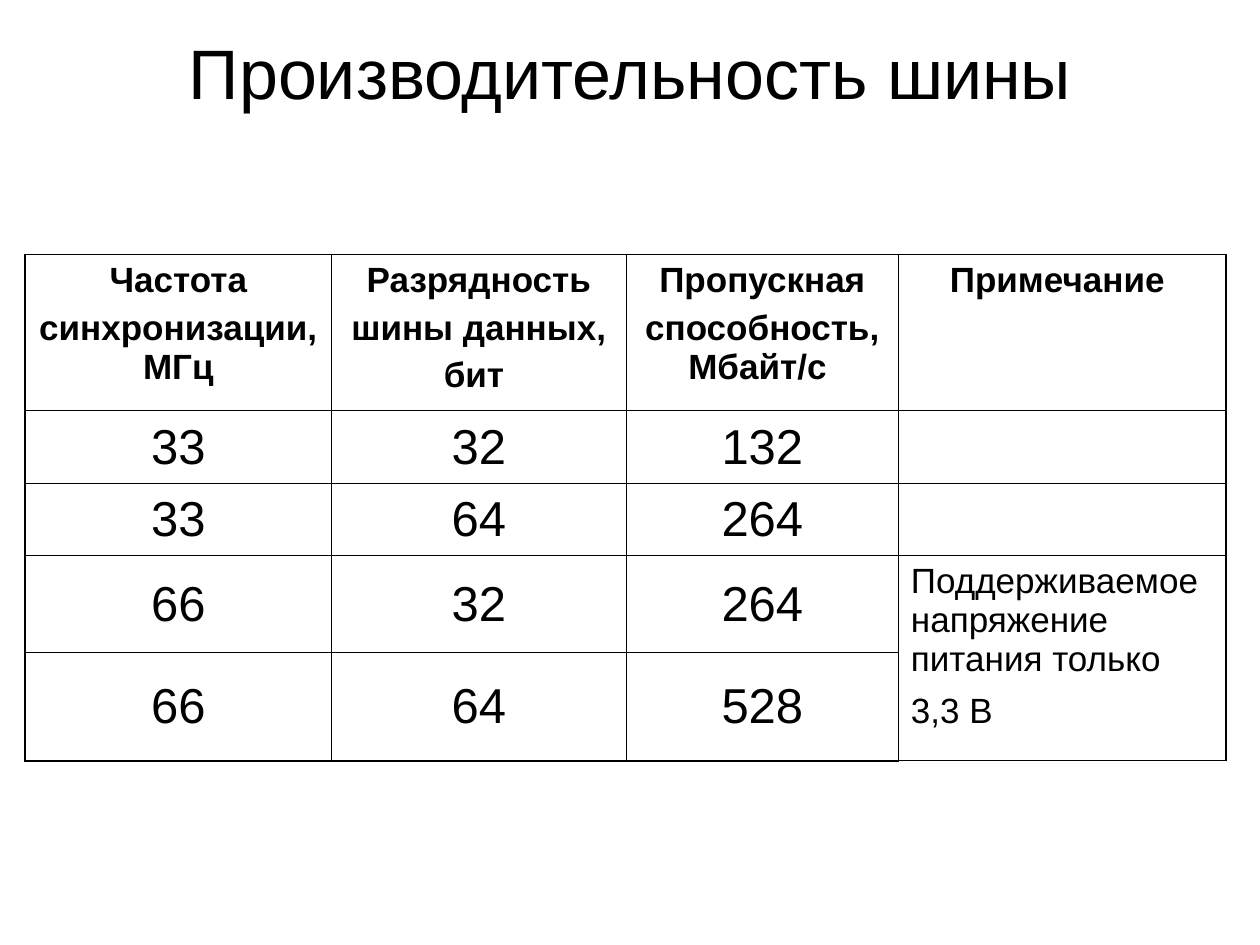
from lxml import etree
from pptx import Presentation
from pptx.dml.color import RGBColor
from pptx.enum.text import MSO_ANCHOR, MSO_AUTO_SIZE, PP_ALIGN
from pptx.oxml.ns import qn
from pptx.util import Pt

LEFT, CENTER = PP_ALIGN.LEFT, PP_ALIGN.CENTER
TOP, MIDDLE = MSO_ANCHOR.TOP, MSO_ANCHOR.MIDDLE
NO_FIT = MSO_AUTO_SIZE.NONE
BLACK = RGBColor(0, 0, 0)
FONT = "Arial"
THIN, THICK = Pt(0.45), Pt(1.08)

WIDTHS = [175, 168.5, 155.5, 187.2]
HEIGHTS = [89.3, 41.8, 41, 55.4, 61.9]
HEADS = [
    "Частота\nсинхронизации, МГц",
    "Разрядность\nшины данных,\nбит ",
    "Пропускная\nспособность, Мбайт/с ",
    "Примечание ",
]
RATES = [(33, 32, 132), (33, 64, 264), (66, 32, 264), (66, 64, 528)]
NOTE = "Поддерживаемое напряжение питания только 3,3 В"


def style(run, size, bold=False):
    """Set the font of one run."""
    font = run.font
    font.name, font.size, font.bold = FONT, Pt(size), bold
    font.color.rgb = BLACK


def write(frame, text, size, bold=False, align=CENTER, gap=0):
    """Fill a text frame and format its paragraphs."""
    frame.text = text
    for para in frame.paragraphs:
        para.alignment = align
        para.space_before = Pt(gap)
        for run in para.runs:
            style(run, size, bold)


def add_title(slide):
    """Place the slide title."""
    title = slide.shapes.title
    title.left, title.top = Pt(36), Pt(21.6)
    title.width, title.height = Pt(648), Pt(38.9)
    frame = title.text_frame
    frame.auto_size = NO_FIT
    frame.vertical_anchor = MIDDLE
    write(frame, "Производительность шины", 40)


def rule(cell, row, col):
    """Draw thick outer and thin inner borders, with no fill."""
    props = cell._tc.get_or_add_tcPr()
    outer = {
        "a:lnL": col == 0,
        "a:lnR": col == len(WIDTHS) - 1,
        "a:lnT": row == 0,
        "a:lnB": row == len(HEIGHTS) - 1,
    }
    for tag, edge in outer.items():
        line = etree.SubElement(props, qn(tag), w=str(THICK if edge else THIN))
        fill = etree.SubElement(line, qn("a:solidFill"))
        etree.SubElement(fill, qn("a:srgbClr"), val=str(BLACK))
    cell.fill.background()


def add_grid(slide):
    """Add the empty table with its sizes and borders."""
    rows, cols = len(HEIGHTS), len(WIDTHS)
    frame = slide.shapes.add_table(
        rows, cols, Pt(14.4), Pt(145.4), Pt(sum(WIDTHS)), Pt(sum(HEIGHTS))
    )
    table = frame.table
    for col, width in zip(table.columns, WIDTHS):
        col.width = Pt(width)
    for row, height in zip(table.rows, HEIGHTS):
        row.height = Pt(height)
    for row in range(rows):
        for col in range(cols):
            rule(table.cell(row, col), row, col)
    return table


def fill_grid(table):
    """Write the heads, the rates and the note."""
    for col, head in enumerate(HEADS):
        write(table.cell(0, col).text_frame, head, 20, True, gap=5)
    for row, rates in enumerate(RATES, 1):
        for col, rate in enumerate(rates):
            cell = table.cell(row, col)
            cell.vertical_anchor = MIDDLE
            write(cell.text_frame, str(rate), 28, gap=7)
    note = table.cell(3, 3)
    note.merge(table.cell(4, 3))
    note.vertical_anchor = TOP
    write(note.text_frame, NOTE, 20, align=LEFT, gap=7)
    tail = note.text_frame.paragraphs[0].add_run()
    tail.text = " "
    style(tail, 28)


def main():
    """Build and save the slide."""
    deck = Presentation()
    deck.slide_width, deck.slide_height = Pt(720), Pt(540)
    slide = deck.slides.add_slide(deck.slide_layouts[5])
    add_title(slide)
    fill_grid(add_grid(slide))
    deck.save("out.pptx")


if __name__ == "__main__":
    main()
